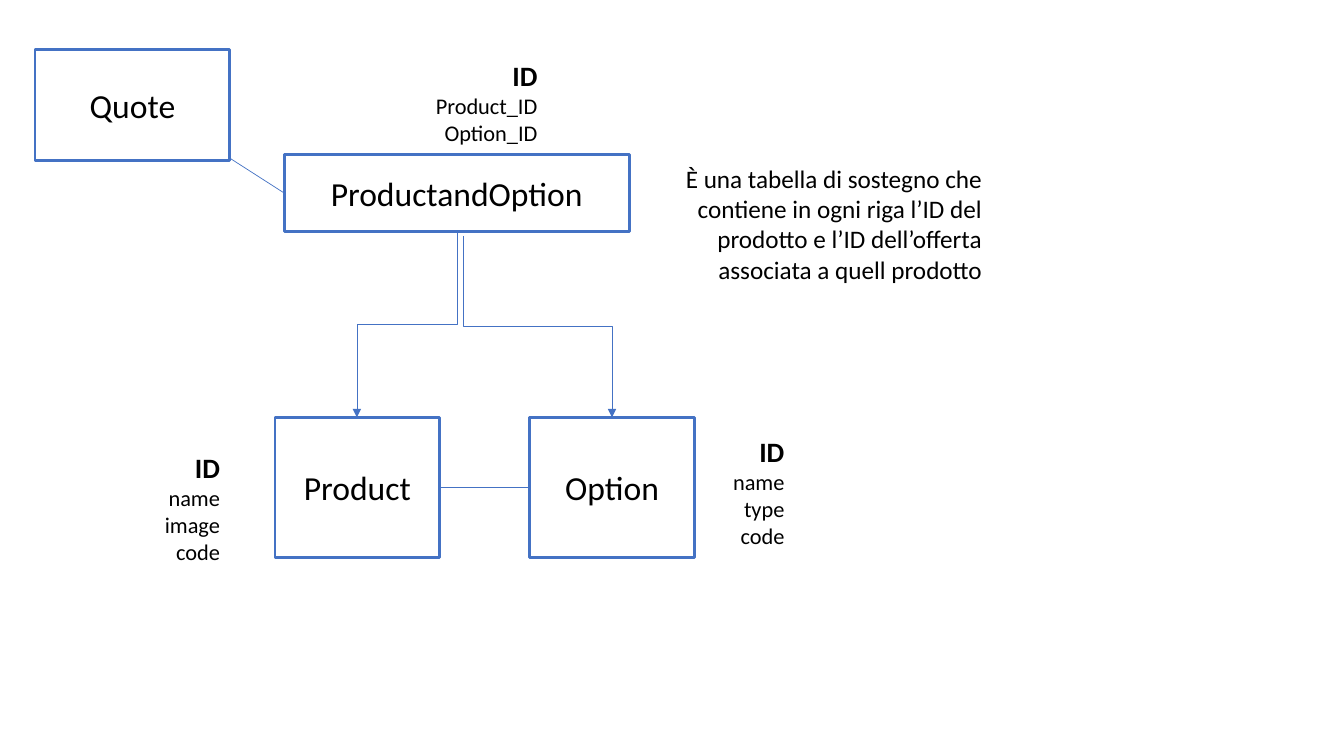
from pptx import Presentation
from pptx.dml.color import RGBColor
from pptx.enum.shapes import MSO_CONNECTOR, MSO_SHAPE
from pptx.enum.text import MSO_ANCHOR, MSO_AUTO_SIZE, PP_ALIGN
from pptx.oxml.ns import qn
from pptx.util import Pt
from lxml.etree import SubElement

BLUE = RGBColor(0x44, 0x72, 0xC4)
WHITE = RGBColor(0xFF, 0xFF, 0xFF)
BLACK = RGBColor(0, 0, 0)
FONT = "Calibri"


def style(para, size, align, bold=False):
    para.alignment = align
    for run in para.runs:
        font = run.font
        font.name, font.size, font.bold = FONT, Pt(size), bold
        font.color.rgb = BLACK


def add_box(slide, name, x, y, w, h):
    """Entity rectangle with its name in the middle."""
    box = slide.shapes.add_shape(MSO_SHAPE.RECTANGLE, Pt(x), Pt(y), Pt(w), Pt(h))
    box.shadow.inherit = False
    box.fill.solid()
    box.fill.fore_color.rgb = WHITE
    box.line.color.rgb = BLUE
    box.line.width = Pt(2)
    frame = box.text_frame
    frame.text = name
    frame.vertical_anchor = MSO_ANCHOR.MIDDLE
    style(frame.paragraphs[0], 24, PP_ALIGN.CENTER)
    return box


def add_text(slide, text, x, y, w, h):
    """Wrapping text box, returned as its frame."""
    frame = slide.shapes.add_textbox(Pt(x), Pt(y), Pt(w), Pt(h)).text_frame
    frame.word_wrap = True
    frame.text = text
    return frame


def add_fields(slide, names, x, y):
    """Field list: bold key above the plain fields."""
    frame = add_text(slide, "\n".join(["ID"] + names), x, y, 124.6, 130.3)
    key, *rest = frame.paragraphs
    style(key, 20, PP_ALIGN.RIGHT, True)
    for para in rest:
        style(para, 16, PP_ALIGN.RIGHT)


def add_note(slide, text, x, y, w, h):
    frame = add_text(slide, text, x, y, w, h)
    frame.auto_size = MSO_AUTO_SIZE.SHAPE_TO_FIT_TEXT
    style(frame.paragraphs[0], 18, PP_ALIGN.RIGHT)


def add_link(slide, x1, y1, x2, y2, kind=MSO_CONNECTOR.STRAIGHT):
    link = slide.shapes.add_connector(kind, Pt(x1), Pt(y1), Pt(x2), Pt(y2))
    link.line.color.rgb = BLUE
    link.line.width = Pt(0.5)
    SubElement(link._element.spPr, qn("a:effectLst"))
    return link


def add_bend(slide, x1, y1, x2, y2):
    """Elbow arrow that leaves downwards: a sideways elbow, turned."""
    mid_x, mid_y = (x1 + x2) / 2, (y1 + y2) / 2
    half_w, half_h = (y2 - y1) / 2, abs(x2 - x1) / 2
    link = add_link(slide, mid_x - half_w, mid_y - half_h,
                    mid_x + half_w, mid_y + half_h, MSO_CONNECTOR.ELBOW)
    form = link._element.spPr.find(qn("a:xfrm"))
    if x2 < x1:
        form.set("rot", str(90 * 60000))
    else:
        form.set("rot", str(270 * 60000))
        form.set("flipH", "1")
    SubElement(link.line._get_or_add_ln(), qn("a:tailEnd"), type="triangle")


def main():
    deck = Presentation()
    deck.slide_width, deck.slide_height = Pt(960), Pt(540)
    slide = deck.slides.add_slide(deck.slide_layouts[6])

    # Entities
    pair = add_box(slide, "ProductandOption", 203, 110.2, 246.5, 55.4)
    goods, choice = [add_box(slide, name, x, 298.1, 117.7, 100.1)
                     for name, x in (("Product", 196.4), ("Option", 378.4))]
    add_box(slide, "Quote", 25, 35.3, 139.2, 79.6)

    # Fields of each entity
    add_fields(slide, ["Product_ID", "Option_ID"], 266.4, 38.2)
    add_fields(slide, ["name", "image", "code"], 39.6, 318.2)
    add_fields(slide, ["name", "type", "code"], 442.8, 306.7)

    # Explanation
    add_note(slide, "È una tabella di sostegno che contiene in ogni riga l’ID "
             "del prodotto e l’ID dell’offerta associata a quell prodotto",
             452.2, 113, 256.3, 94.3)

    # Relations
    add_bend(slide, 326.4, 165.6, 254.9, 298.1)
    add_bend(slide, 331, 168.5, 437.2, 298.1)
    add_link(slide, 164.2, 113, 203, 137.9).end_connect(pair, 1)
    side = add_link(slide, 314.1, 348.2, 378.4, 348.2)
    side.begin_connect(goods, 3)
    side.end_connect(choice, 1)

    deck.save("out.pptx")


if __name__ == "__main__":
    main()
